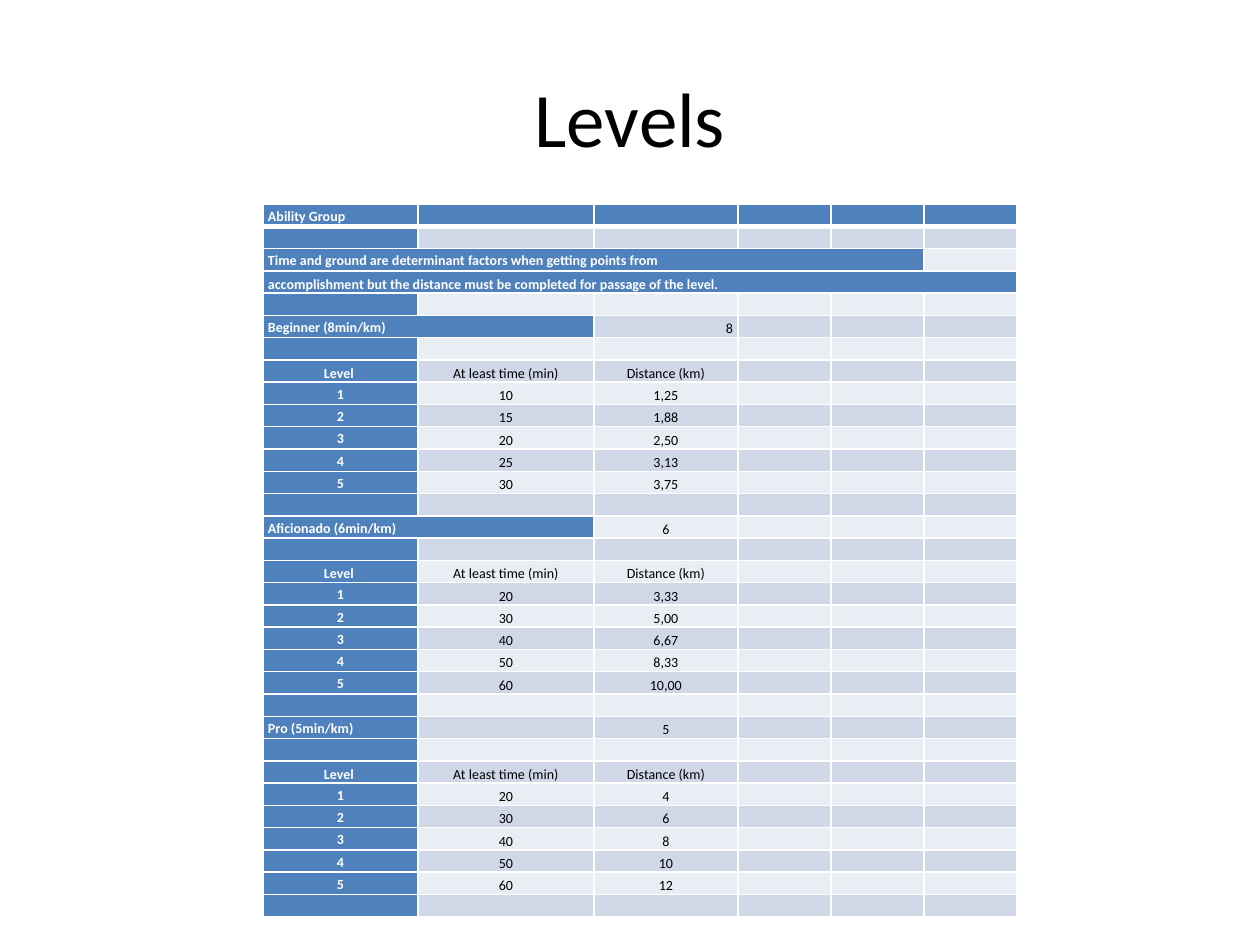
from dataclasses import dataclass

from lxml import etree
from pptx import Presentation
from pptx.dml.color import RGBColor
from pptx.enum.text import MSO_ANCHOR, PP_ALIGN
from pptx.oxml.ns import qn
from pptx.util import Pt

MIDDLE, BOTTOM = MSO_ANCHOR.MIDDLE, MSO_ANCHOR.BOTTOM
LEFT, CENTER, RIGHT = PP_ALIGN.LEFT, PP_ALIGN.CENTER, PP_ALIGN.RIGHT
EMU_PER_PX = 914400 // 126


@dataclass(frozen=True)
class Theme:
    font: str = "Calibri"
    text: str = "000000"
    light: str = "FFFFFF"
    accent: str = "4F81BD"
    bands: tuple = ("E9EDF4", "D0D8E8")
    title_size: int = 44
    table_size: int = 8
    line_spacing: float = 1.15
    border: int = 1
    header_border: int = 3


@dataclass(frozen=True)
class Row:
    texts: tuple = ()
    span: int = 1
    label_align: int = LEFT
    label_anchor: int = MIDDLE
    value_align: int = CENTER


THEME = Theme()
COLUMN_WIDTHS = (155, 176, 144, 93, 93, 93)
BLANK = Row()
GROUPS = (
    (Row(("Beginner (8min/km)", "", "8"), span=2, value_align=RIGHT),
     (10, 15, 20, 25, 30), ("1,25", "1,88", "2,50", "3,13", "3,75")),
    (Row(("Aficionado (6min/km)", "", "6"), span=2),
     (20, 30, 40, 50, 60), ("3,33", "5,00", "6,67", "8,33", "10,00")),
    (Row(("Pro (5min/km)", "", "5")),
     (20, 30, 40, 50, 60), ("4", "6", "8", "10", "12")),
)


def px(length):
    return length * EMU_PER_PX


def style_paragraph(paragraph, size, color, align, bold=False):
    paragraph.alignment = align
    font = paragraph.font
    font.name = THEME.font
    font.size = Pt(size)
    font.bold = bold
    font.color.rgb = RGBColor.from_string(color)


def level_rows():
    rows = [
        Row(("Ability Group",)),
        BLANK,
        Row(("Time and ground are determinant factors when getting points from",), span=5),
        Row(("accomplishment but the distance must be completed for passage of the level.",),
            span=6, label_anchor=BOTTOM),
        BLANK,
    ]
    for heading, times, distances in GROUPS:
        rows += [heading, BLANK,
                 Row(("Level ", "At least time (min)", "Distance (km)"),
                     label_align=CENTER, label_anchor=BOTTOM)]
        rows += [Row((str(level), str(time), distance), label_align=CENTER)
                 for level, (time, distance) in enumerate(zip(times, distances), 1)]
        rows.append(BLANK)
    return rows


def set_borders(cell, top, bottom):
    properties = cell._tc.get_or_add_tcPr()
    widths = {"lnL": THEME.border, "lnR": THEME.border, "lnT": top, "lnB": bottom}
    for side, width in widths.items():
        line = etree.SubElement(properties, qn(f"a:{side}"), w=str(Pt(width)))
        fill = etree.SubElement(line, qn("a:solidFill"))
        etree.SubElement(fill, qn("a:srgbClr"), val=THEME.light)


def fill_cell(cell, row, row_index, column_index):
    is_header = row_index == 0
    is_label = column_index < row.span
    is_accent = is_header or is_label
    set_borders(cell,
                THEME.header_border if row_index == 1 else THEME.border,
                THEME.header_border if is_header else THEME.border)
    cell.fill.solid()
    cell.fill.fore_color.rgb = RGBColor.from_string(
        THEME.accent if is_accent else THEME.bands[row_index % 2])
    cell.margin_left = cell.margin_right = px(5)
    cell.margin_top = cell.margin_bottom = 0
    cell.vertical_anchor = row.label_anchor if is_label else BOTTOM
    if column_index < len(row.texts):
        cell.text = row.texts[column_index]
    paragraph = cell.text_frame.paragraphs[0]
    paragraph.line_spacing = THEME.line_spacing
    style_paragraph(paragraph, THEME.table_size,
                    THEME.light if is_accent else THEME.text,
                    row.label_align if is_label else row.value_align, is_accent)


def add_title(slide, left, top, width, height):
    shape = slide.shapes.add_textbox(px(left), px(top), px(width), px(height))
    frame = shape.text_frame
    frame.word_wrap = True
    frame.vertical_anchor = MIDDLE
    frame.text = "Levels"
    style_paragraph(frame.paragraphs[0], THEME.title_size, THEME.text, CENTER)


def add_levels_table(slide, left, top, height):
    rows = level_rows()
    table = slide.shapes.add_table(len(rows), len(COLUMN_WIDTHS), px(left), px(top),
                                   px(sum(COLUMN_WIDTHS)), px(height)).table
    for column, width in zip(table.columns, COLUMN_WIDTHS):
        column.width = px(width)
    for row_index, row in enumerate(rows):
        table.rows[row_index].height = px(height) // len(rows)
        for column_index in range(len(COLUMN_WIDTHS)):
            fill_cell(table.cell(row_index, column_index), row, row_index, column_index)
        if row.span > 1:
            table.cell(row_index, 0).merge(table.cell(row_index, row.span - 1))


def main():
    presentation = Presentation()
    presentation.slide_width = px(1260)
    presentation.slide_height = px(945)
    slide = presentation.slides.add_slide(presentation.slide_layouts[6])
    add_title(slide, 63, 38, 1134, 158)
    add_levels_table(slide, 263, 204, 714)
    presentation.save("out.pptx")


if __name__ == "__main__":
    main()
